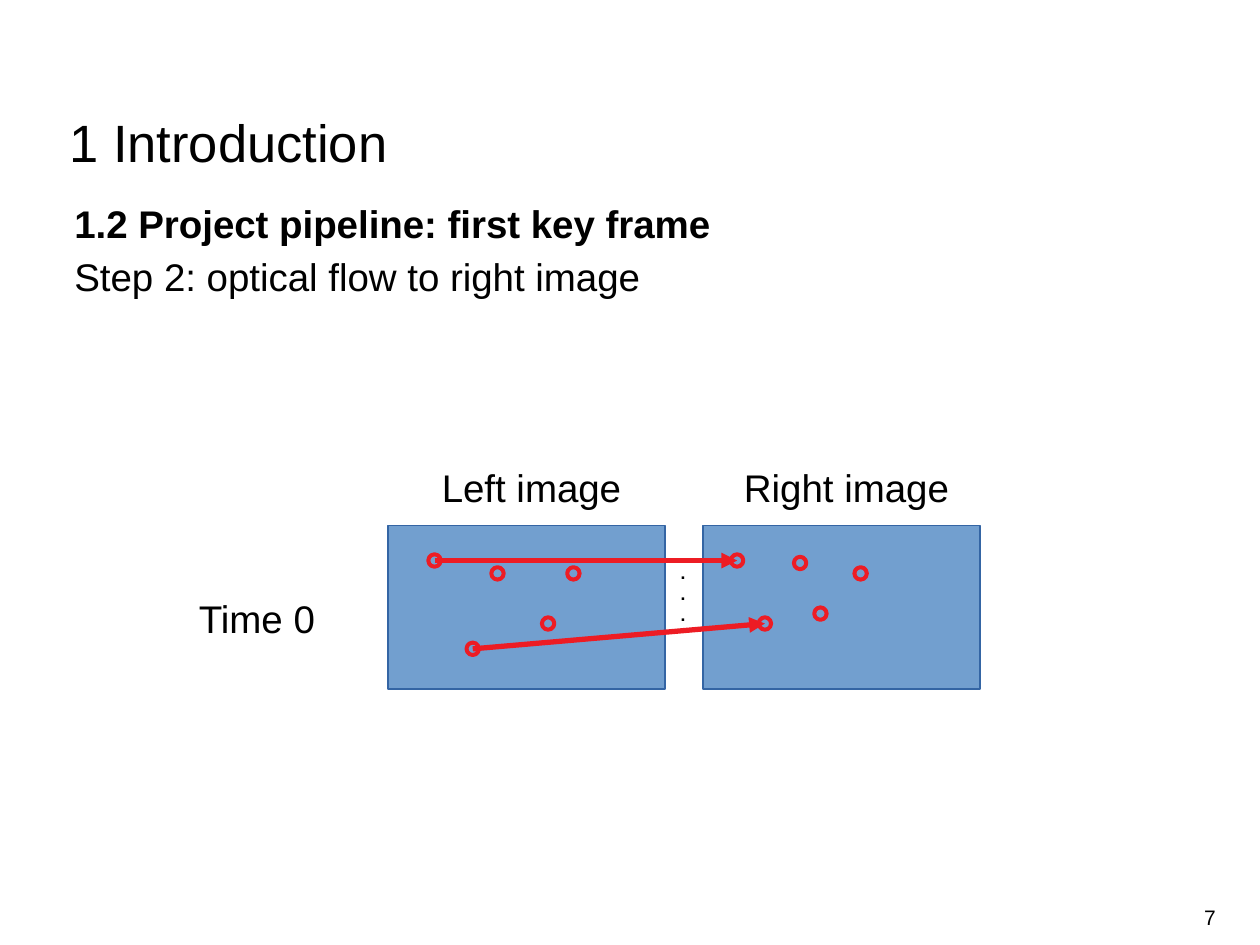
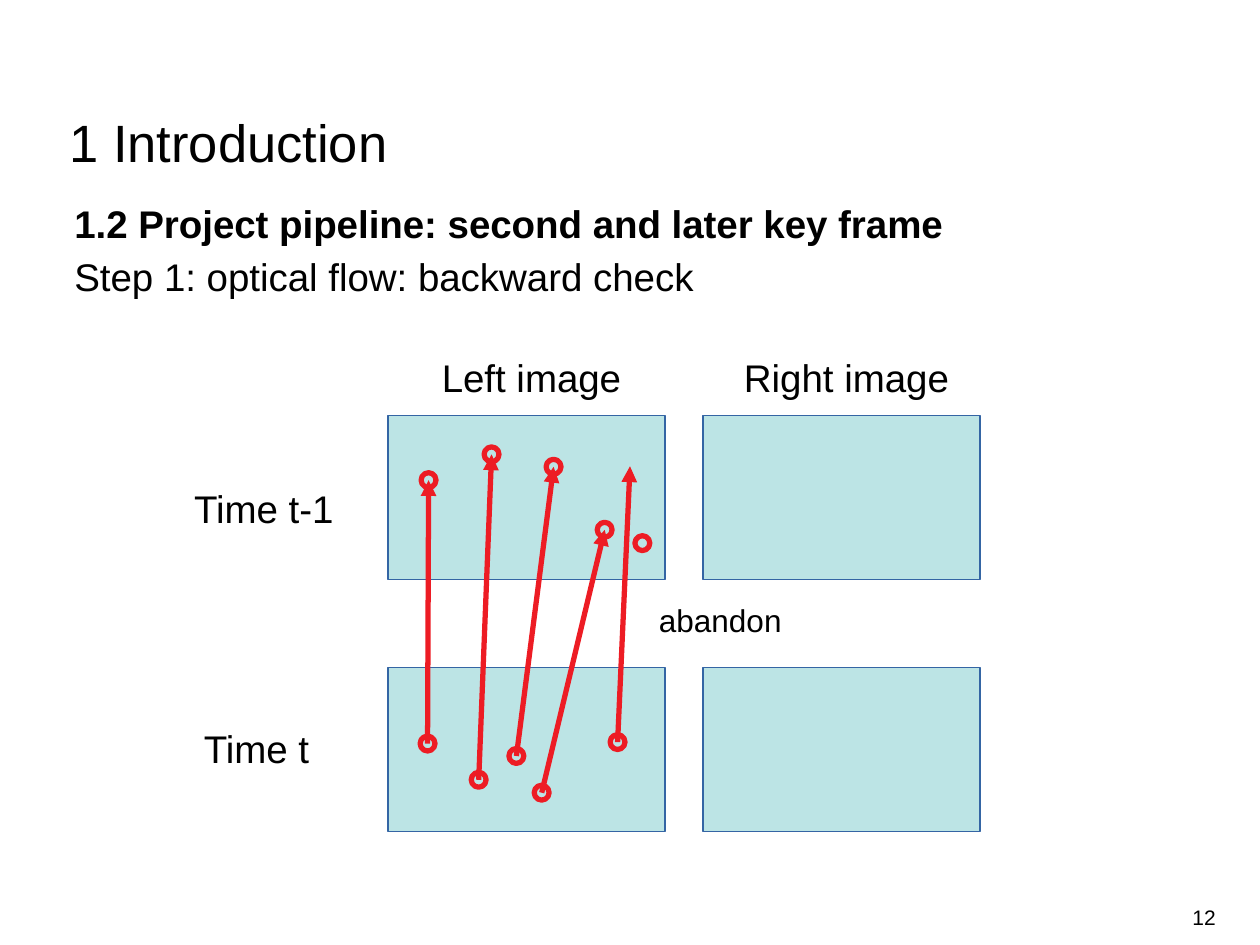
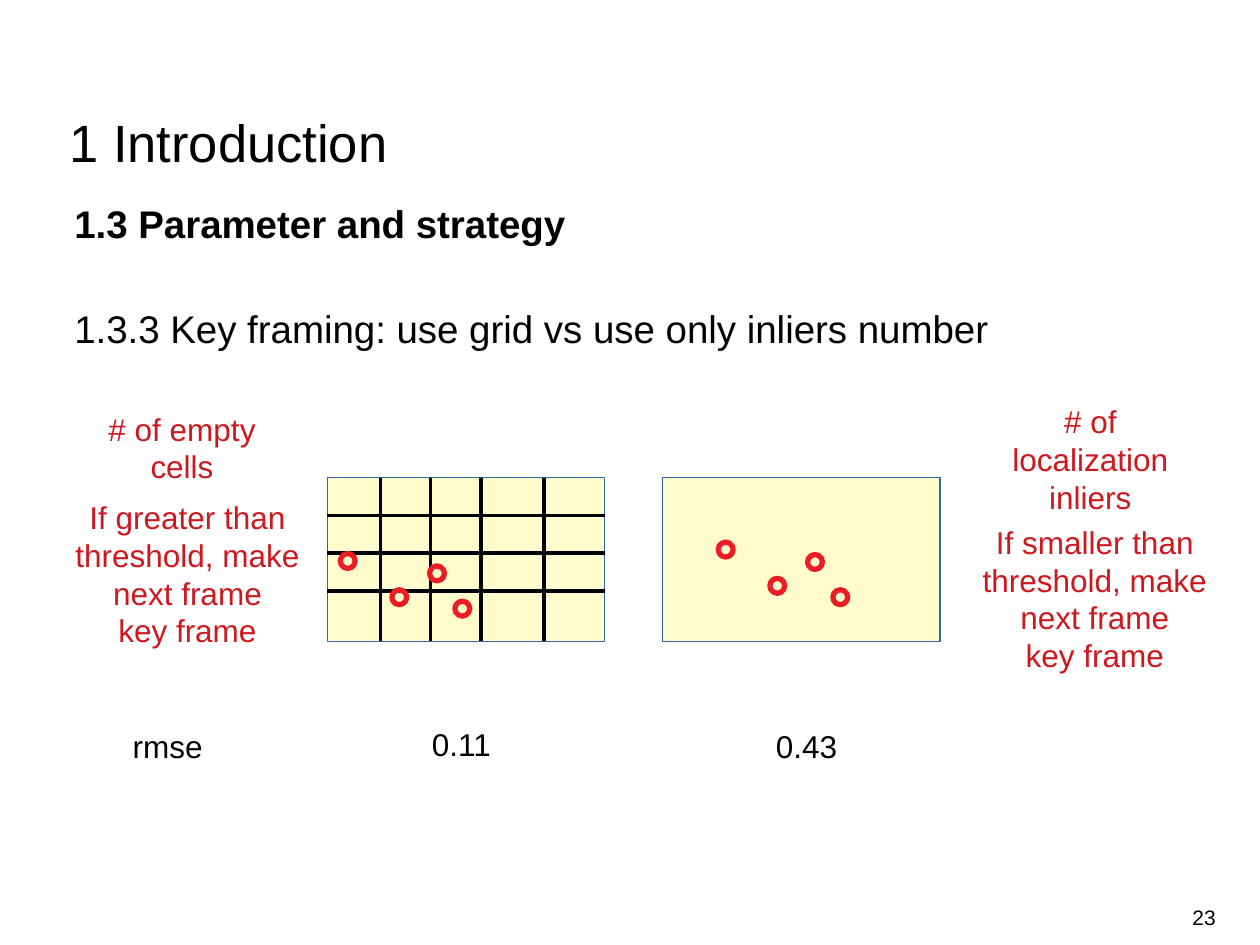
from lxml.etree import SubElement
from pptx import Presentation
from pptx.dml.color import RGBColor
from pptx.enum.shapes import MSO_CONNECTOR as Connector, MSO_SHAPE as Shape
from pptx.enum.text import MSO_ANCHOR as Anchor, PP_ALIGN as Align
from pptx.oxml.ns import qn
from pptx.util import Cm, Pt

COLORS = {
    "text": "000000", "note": "CE181E", "mark": "ED1C24", "border": "3465A4",
    "first": "729FCF", "later": "BCE4E5", "strategy": "FFFBCC",
}
FONT = "Arial"
TITLE = "1 Introduction"
TITLE_BOX = (1.4, 2.36, 17.4, 1.14)
BODY_BOX = (1.5, 3.91, 22.48, 12.37)
NUMBER_BOX = (18.82, 17.98, 5.69, 1.02)
BODY_SPACING = 1.14

FRAME_W, FRAME_H = 5.59, 3.3
FRAME_LEFTS = (7.82, 14.17)
FRAME_NAMES = ("Left image", "Right image")
SMALL_DOT, LARGE_DOT = (0.25, 2.3), (0.3, 3)  # diameter in cm, line in pt

# Labels: lines, centre x, top, width, size, colour
FIRST = {
    "number": "7",
    "heading": "1.2 Project pipeline: first key frame",
    "step": "Step 2: optical flow to right image",
    "fill": "first",
    "tops": (10.59,),
    "labels": [(["Time 0"], 5.18, 11.86, 4, 22, "text")],
    "dot": SMALL_DOT,
    "flows": [((8.76, 11.3), (14.86, 11.3)), ((9.53, 13.08), (15.42, 12.57))],
    "unmatched": [(10.03, 11.56), (11.56, 11.56), (11.05, 12.57),
                  (16.13, 11.35), (17.35, 11.56), (16.54, 12.37)],
    "abandoned": [],
}
LATER = {
    "number": "12",
    "heading": "1.2 Project pipeline: second and later key frame",
    "step": "Step 1: optical flow: backward check",
    "fill": "later",
    "tops": (8.38, 13.46),
    "labels": [
        (["Time t-1"], 5.32, 9.65, 4, 22, "text"),
        (["Time t"], 5.17, 14.48, 4, 22, "text"),
        (["abandon"], 14.52, 11.99, 4, 18, "text"),
    ],
    "dot": LARGE_DOT,
    "flows": [((8.62, 14.99), (8.64, 9.68)), ((9.65, 15.72), (9.91, 9.16)),
              ((10.41, 15.24), (11.16, 9.41)), ((10.92, 15.98), (12.19, 10.68))],
    "unmatched": [(12.95, 10.95)],
    "abandoned": [((12.45, 14.96), (12.7, 9.4))],
}
RULE_END = ["threshold, make", "next frame", "key frame"]
STRATEGY = {
    "number": "23",
    "heading": "1.3 Parameter and strategy",
    "step": "1.3.3 Key framing: use grid vs use only inliers number",
    "step_gap": 30,
    "labels": [
        (["# of empty cells"], 3.67, 8.13, 4.34, 18, "note"),
        (["If greater than"] + RULE_END, 3.78, 9.91, 5.5, 18, "note"),
        (["# of localization inliers"], 21.98, 7.98, 4.34, 18, "note"),
        (["If smaller than"] + RULE_END, 22.07, 10.41, 5.5, 18, "note"),
        (["rmse"], 3.38, 14.53, 4, 18, "text"),
        (["0.11"], 9.3, 14.48, 2.8, 18, "text"),
        (["0.43"], 16.26, 14.53, 2.8, 18, "text"),
    ],
}
GRID_LEFT, INLIERS_LEFT, STRATEGY_TOP = 6.6, 13.36, 9.63
GRID_COLUMNS = (1.07, 2.08, 3.1, 4.37)
GRID_ROW, GRID_LINES = 0.76, 3
INLIERS = [(7.01, 11.31), (8.05, 12.04), (8.81, 11.56), (9.32, 12.27)]
INLIERS_SHIFT = (7.62, -0.23)


def rgb(name):
    return RGBColor.from_string(COLORS[name])


def add_text(slide, box, lines, size, color="text", margins=(0, 0), align=Align.LEFT,
             anchor=Anchor.TOP, bold=False, spacing=None):
    frame = slide.shapes.add_textbox(*map(Cm, box)).text_frame
    side, end = map(Cm, margins)
    layout = {"word_wrap": True, "vertical_anchor": anchor, "margin_left": side,
              "margin_right": side, "margin_top": end, "margin_bottom": end}
    for key, value in layout.items():
        setattr(frame, key, value)
    for index, line in enumerate(lines):
        paragraph = frame.paragraphs[0] if index == 0 else frame.add_paragraph()
        paragraph.alignment = align
        paragraph.line_spacing = spacing
        run = paragraph.add_run()
        run.text = line
        for key, value in {"name": FONT, "size": Pt(size), "bold": bold}.items():
            setattr(run.font, key, value)
        run.font.color.rgb = rgb(color)
    return frame


def add_label(slide, lines, center, top, width, size, color, bold=False):
    add_text(slide, (center - width / 2, top, width, 1.1), lines, size, color,
             margins=(0.25, 0.13), align=Align.CENTER, bold=bold)


def add_outlined(slide, kind, box, color, width, fill=None):
    shape = slide.shapes.add_shape(kind, *map(Cm, box))
    shape.shadow.inherit = False
    if fill:
        shape.fill.solid()
        shape.fill.fore_color.rgb = rgb(fill)
    else:
        shape.fill.background()
    shape.line.color.rgb = rgb(color)
    shape.line.width = Pt(width)


def add_frame(slide, left, top, fill):
    add_outlined(slide, Shape.RECTANGLE, (left, top, FRAME_W, FRAME_H), "border", 0, fill)


def add_dot(slide, center, dot):
    diameter, width = dot
    x, y = center
    box = (x - diameter / 2, y - diameter / 2, diameter, diameter)
    add_outlined(slide, Shape.OVAL, box, "mark", width)


def add_line(slide, start, end, color="text", width=0, arrow=False):
    line = slide.shapes.add_connector(Connector.STRAIGHT, *map(Cm, start + end))
    line.line.color.rgb = rgb(color)
    line.line.width = Pt(width)
    if arrow:
        SubElement(line.line._get_or_add_ln(), qn("a:tailEnd"), type="triangle")
    SubElement(line._element.spPr, qn("a:effectLst"))


def add_base(deck, content):
    """Add a slide with title, heading, step, page number and labels."""
    slide = deck.slides.add_slide(deck.slide_layouts[6])
    body = add_text(slide, BODY_BOX, [content["heading"], content["step"]], 22,
                    spacing=BODY_SPACING)
    heading, step = body.paragraphs
    heading.runs[0].font.bold = True
    step.space_before = Pt(content.get("step_gap", 0))
    add_text(slide, NUMBER_BOX, [content["number"]], 12, margins=(0, 0.13),
             align=Align.RIGHT, anchor=Anchor.MIDDLE)
    add_text(slide, TITLE_BOX, [TITLE], 30, spacing=Pt(32))
    for label in content["labels"]:
        add_label(slide, *label)
    return slide


def add_pipeline(deck, content):
    slide = add_base(deck, content)
    for left, name in zip(FRAME_LEFTS, FRAME_NAMES):
        for top in content["tops"]:
            add_frame(slide, left, top, content["fill"])
        add_label(slide, [name], left + FRAME_W / 2 + 0.1, content["tops"][0] - 1.37,
                  6, 22, "text")
    for start, end in content["flows"] + content["abandoned"]:
        add_line(slide, start, end, "mark", 3, arrow=True)
    matched = [point for flow in content["flows"] for point in flow]
    sources = [start for start, _ in content["abandoned"]]
    for center in matched + sources + content["unmatched"]:
        add_dot(slide, center, content["dot"])
    return slide


def add_strategy(deck):
    slide = add_base(deck, STRATEGY)
    for left in (GRID_LEFT, INLIERS_LEFT):
        add_frame(slide, left, STRATEGY_TOP, "strategy")
    for row in range(1, GRID_LINES + 1):
        y = STRATEGY_TOP + row * GRID_ROW
        add_line(slide, (GRID_LEFT, y), (GRID_LEFT + FRAME_W, y))
    for column in GRID_COLUMNS:
        x = GRID_LEFT + column
        add_line(slide, (x, STRATEGY_TOP), (x, STRATEGY_TOP + FRAME_H))
    for dx, dy in ((0, 0), INLIERS_SHIFT):
        for x, y in INLIERS:
            add_dot(slide, (x + dx, y + dy), LARGE_DOT)


def main():
    deck = Presentation()
    deck.slide_width, deck.slide_height = Cm(25.4), Cm(19.05)
    first = add_pipeline(deck, FIRST)
    add_label(first, ["."] * 3, 13.77, 11.2, 0.8, 10, "text", bold=True)
    add_pipeline(deck, LATER)
    add_strategy(deck)
    deck.save("out.pptx")


if __name__ == "__main__":
    main()
